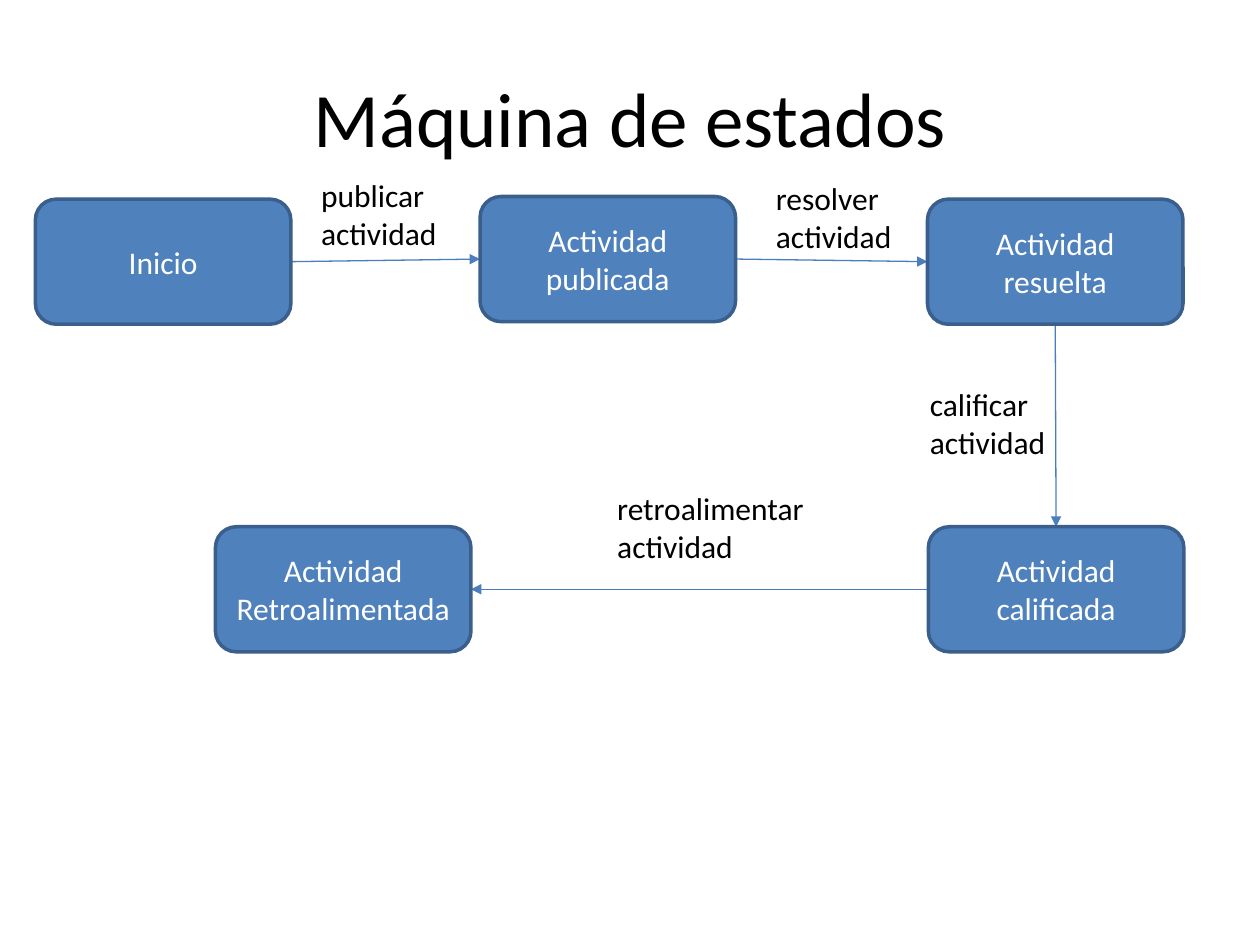
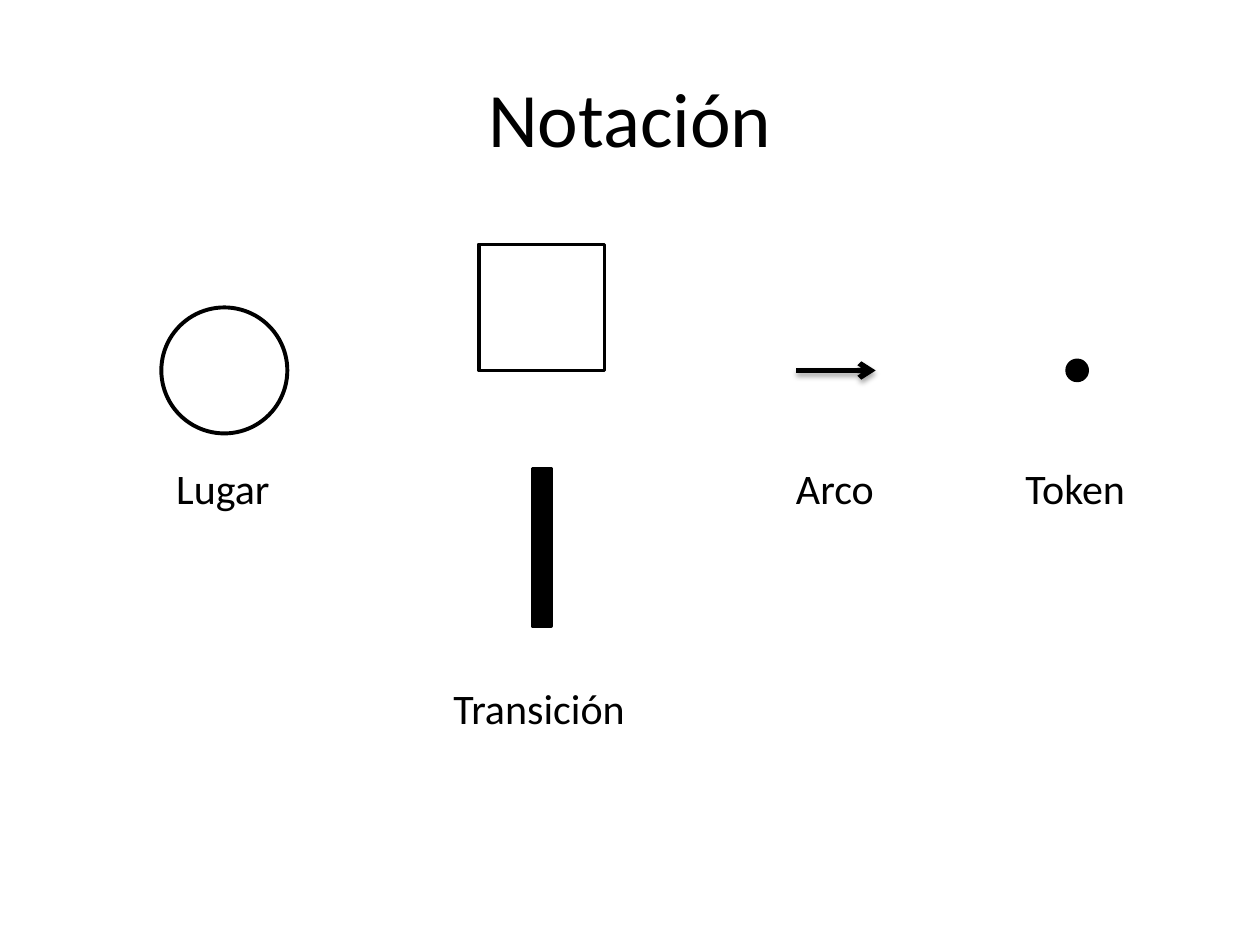
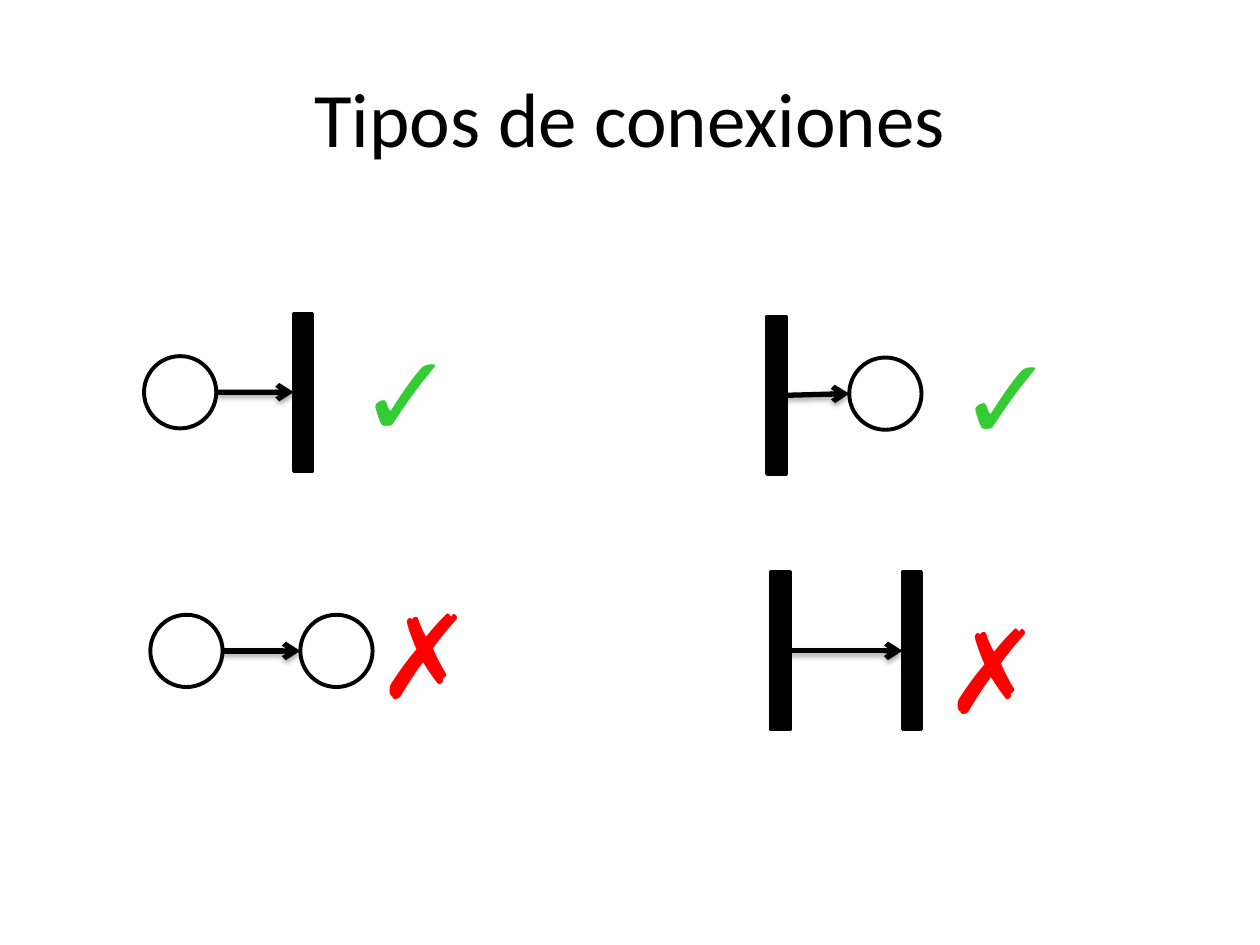
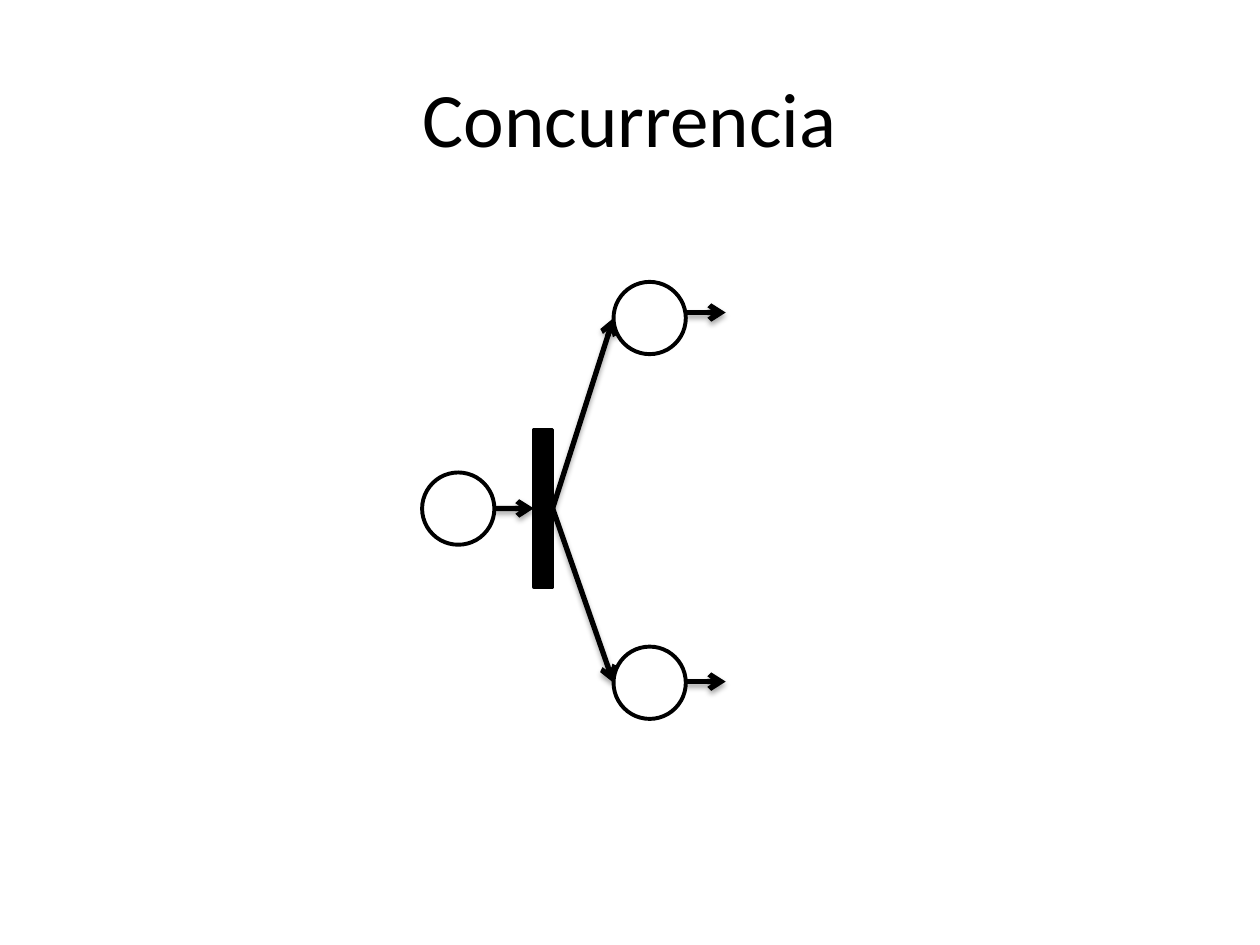
from lxml.etree import SubElement
from pptx import Presentation
from pptx.dml.color import RGBColor
from pptx.enum.shapes import MSO_CONNECTOR, MSO_SHAPE
from pptx.enum.text import MSO_ANCHOR, MSO_AUTO_SIZE, PP_ALIGN
from pptx.oxml.ns import qn
from pptx.util import Pt

FONT = "Calibri"
COLORS = {
    "black": "000000",
    "white": "FFFFFF",
    "state": "4F81BD",
    "state_line": "3A5F8C",
    "flow": "4B7EBC",
    "valid": "33CC33",
    "invalid": "FF0000",
}
# Sizes in points
STATE_W, STATE_H = 146, 71.5
PLACE = 41.3
BAR_W, BAR_H = 10.8, 90


def rgb(name):
    return RGBColor.from_string(COLORS[name])


# Text
def write(tf, text, size=18, color="black", bold=False, align=PP_ALIGN.LEFT):
    p = tf.paragraphs[0]
    p.alignment = align
    r = p.add_run()
    r.text = text
    r.font.name = FONT
    r.font.size = Pt(size)
    r.font.bold = bold
    r.font.color.rgb = rgb(color)


def add_text(slide, text, x, y, w, h, wrap=False, **fmt):
    tf = slide.shapes.add_textbox(Pt(x), Pt(y), Pt(w), Pt(h)).text_frame
    tf.word_wrap = wrap
    tf.auto_size = MSO_AUTO_SIZE.SHAPE_TO_FIT_TEXT
    write(tf, text, **fmt)
    return tf


def add_titled_slide(prs, title):
    slide = prs.slides.add_slide(prs.slide_layouts[6])
    tf = add_text(slide, title, 36, 21.6, 648, 90, wrap=True, size=44,
                  align=PP_ALIGN.CENTER)
    tf.auto_size = MSO_AUTO_SIZE.NONE
    tf.vertical_anchor = MSO_ANCHOR.MIDDLE
    return slide


def add_mark(slide, valid, x, y):
    text, color, w = ("✓", "valid", 64.8) if valid else ("✗", "invalid", 69.1)
    add_text(slide, text, x, y, w, 87.1, size=66, color=color, bold=True)


# Shapes
def add_node(slide, kind, x, y, w, h, fill="white", line="black", weight=2):
    sp = slide.shapes.add_shape(kind, Pt(x), Pt(y), Pt(w), Pt(h))
    sp.shadow.inherit = False
    sp.fill.solid()
    sp.fill.fore_color.rgb = rgb(fill)
    sp.line.color.rgb = rgb(line)
    sp.line.width = Pt(weight)
    return sp


def add_state(slide, text, x, y):
    sp = add_node(slide, MSO_SHAPE.ROUNDED_RECTANGLE, x, y, STATE_W, STATE_H,
                  fill="state", line="state_line")
    sp.text_frame.vertical_anchor = MSO_ANCHOR.MIDDLE
    write(sp.text_frame, text, color="white", align=PP_ALIGN.CENTER)
    return sp


def add_place(slide, x, y, size=PLACE):
    return add_node(slide, MSO_SHAPE.OVAL, x, y, size, size, weight=2.25)


def add_bar(slide, x, y):
    return add_node(slide, MSO_SHAPE.RECTANGLE, x, y, BAR_W, BAR_H, fill="black")


# Arrows
def side(sp, name):
    """Middle of one side of a shape, in points."""
    dx, dy = {"left": (0, 0.5), "right": (1, 0.5),
              "top": (0.5, 0), "bottom": (0.5, 1)}[name]
    return (sp.left + sp.width * dx) / Pt(1), (sp.top + sp.height * dy) / Pt(1)


def add_arrow(slide, start, end, color, weight, head):
    """Draw an arrow behind the shapes it joins; return its effect list."""
    c = slide.shapes.add_connector(
        MSO_CONNECTOR.STRAIGHT, *(Pt(v) for v in (*start, *end)))
    c.line.color.rgb = rgb(color)
    c.line.width = Pt(weight)
    spPr = c.element.spPr
    SubElement(spPr.find(qn("a:ln")), qn("a:tailEnd"), type=head)
    slide.shapes.element.insert(2, c.element)
    return SubElement(spPr, qn("a:effectLst"))


def add_flow(slide, start, end):
    add_arrow(slide, start, end, "flow", 0.75, "triangle")


def add_arc(slide, start, end):
    effects = add_arrow(slide, start, end, "black", 3, "arrow")
    shadow = SubElement(effects, qn("a:outerShdw"), blurRad=str(Pt(3.1)),
                        dist=str(Pt(1.8)), dir="5400000", rotWithShape="0")
    clr = SubElement(shadow, qn("a:srgbClr"), val=COLORS["black"])
    SubElement(clr, qn("a:alpha"), val="35000")


def join(slide, a, b):
    add_arc(slide, side(a, "right"), side(b, "left"))


# Slides
def state_machine(prs):
    slide = add_titled_slide(prs, "Máquina de estados")
    start = add_state(slide, "Inicio", 20.2, 113.8)
    published = add_state(slide, "Actividad publicada", 274.3, 112.3)
    solved = add_state(slide, "Actividad resuelta", 530, 113.8)
    graded = add_state(slide, "Actividad calificada", 530.5, 301)
    reviewed = add_state(slide, "Actividad Retroalimentada", 123.1, 301)

    for a, a_side, b, b_side in (
        (start, "right", published, "left"),
        (published, "right", solved, "left"),
        (solved, "bottom", graded, "top"),
        (graded, "left", reviewed, "right"),
    ):
        add_flow(slide, side(a, a_side), side(b, b_side))

    for text, x, y, w in (
        ("publicar actividad", 176.4, 97.2, 86.4),
        ("resolver actividad", 436.3, 98.6, 93.6),
        ("calificar actividad", 524.2, 216.7, 109.4),
        ("retroalimentar actividad", 345.6, 275.8, 123.8),
    ):
        add_text(slide, text, x, y, w, 51.1, wrap=True)


def notation(prs):
    slide = add_titled_slide(prs, "Notación")
    add_place(slide, 92.2, 175.7, size=72)
    add_node(slide, MSO_SHAPE.RECTANGLE, 273.6, 139.7, 72, 72)
    add_bar(slide, 304.2, 267.8)
    add_arc(slide, (455, 211.7), (500.4, 211.7))
    add_node(slide, MSO_SHAPE.OVAL, 609.8, 205.9, 11.5, 11.5, fill="black")

    for text, x, y, w in (
        ("Lugar", 93.6, 260.6, 68.4),
        ("Transición", 252, 386.6, 113.8),
        ("Arco", 447.8, 260.6, 59.8),
        ("Token", 578.9, 260.6, 72),
    ):
        add_text(slide, text, x, y, w, 36, size=24)


def connection_types(prs):
    slide = add_titled_slide(prs, "Tipos de conexiones")
    for (add_a, *a_at), (add_b, *b_at), valid, mark_at in (
        ((add_place, 82.3, 203.5), (add_bar, 167.8, 179.1), True, (198, 180.7)),
        ((add_bar, 438.3, 180.9), (add_place, 485.3, 204.3), True, (540.7, 182.2)),
        ((add_place, 85.9, 351.3), (add_place, 171.6, 351.3), False, (208.1, 329.8)),
        ((add_bar, 440.6, 326.9), (add_bar, 515.7, 326.9), False, (532.8, 338.4)),
    ):
        join(slide, add_a(slide, *a_at), add_b(slide, *b_at))
        add_mark(slide, valid, *mark_at)


def concurrency(prs):
    slide = add_titled_slide(prs, "Concurrencia")
    bar = add_bar(slide, 305, 245.5)
    join(slide, add_place(slide, 241.2, 270), bar)
    for y, exit_y in ((161.1, 178.6), (369.5, 389.5)):
        branch = add_place(slide, 350.6, y)
        join(slide, bar, branch)
        add_arc(slide, (side(branch, "right")[0], exit_y), (414.7, exit_y))


def main():
    prs = Presentation()
    prs.slide_width, prs.slide_height = Pt(720), Pt(540)
    for build in (state_machine, notation, connection_types, concurrency):
        build(prs)
    prs.save("out.pptx")


if __name__ == "__main__":
    main()
